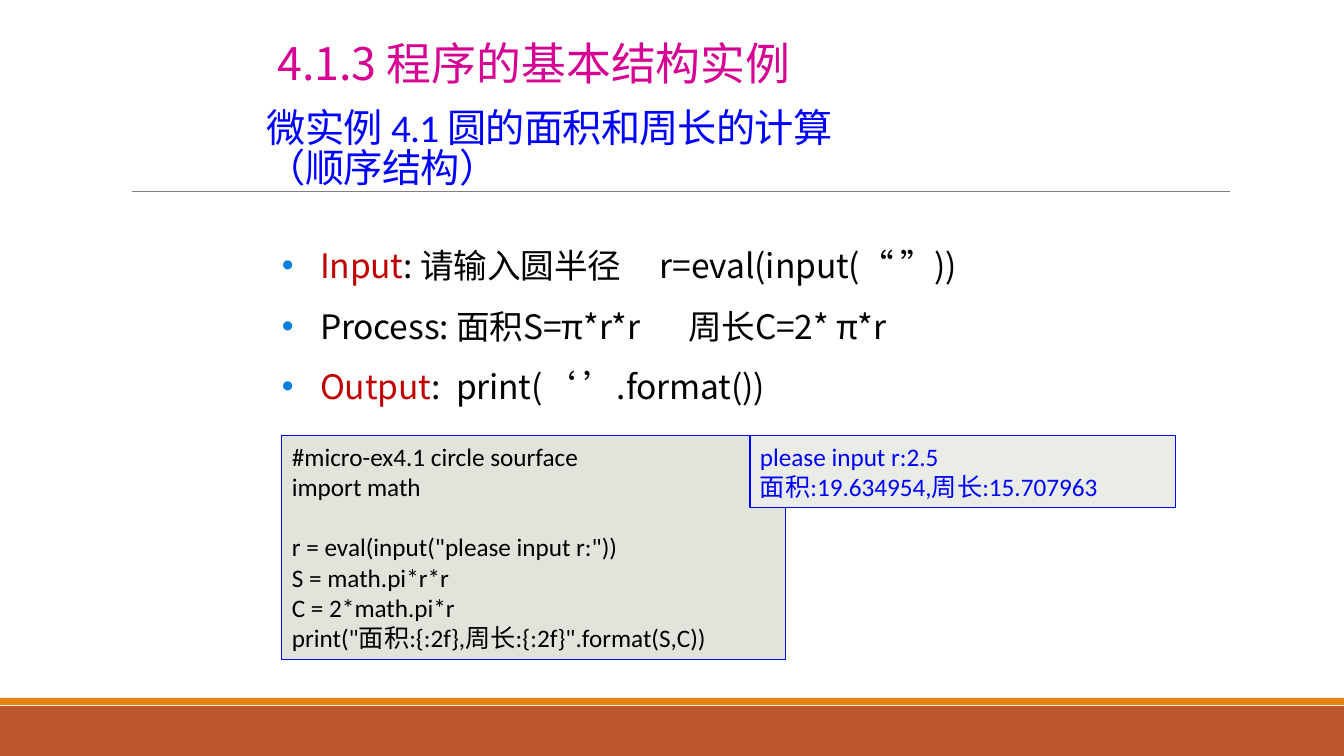
"""Build the slide on the sequential structure example."""
from dataclasses import dataclass

from lxml import etree
from pptx import Presentation
from pptx.dml.color import RGBColor
from pptx.enum.shapes import MSO_CONNECTOR, MSO_SHAPE
from pptx.enum.text import MSO_ANCHOR, MSO_AUTO_SIZE, PP_ALIGN
from pptx.oxml.ns import qn
from pptx.util import Pt

RECT = MSO_SHAPE.RECTANGLE
LINE = MSO_CONNECTOR.STRAIGHT
TOP, MIDDLE = MSO_ANCHOR.TOP, MSO_ANCHOR.MIDDLE
LEFT, CENTER = PP_ALIGN.LEFT, PP_ALIGN.CENTER
FIXED = MSO_AUTO_SIZE.NONE
SCALE = 12192000 / 1344
SANS, HAN = "Calibri", "Noto Sans CJK SC"
BLACK, BLUE, RED, PINK = "000000", "0000FF", "C00000", "D60093"


@dataclass
class Area:
    x: int
    y: int
    w: int
    h: int


@dataclass
class Band:
    area: Area
    fill: str


@dataclass
class Panel:
    area: Area
    fill: str
    ink: str
    text: str


@dataclass
class Bullet:
    label: str
    ink: str
    text: str
    tab: int


BANDS = [
    Band(Area(0, 706, 1344, 50), "BD582C"),
    Band(Area(0, 698, 1344, 7), "E48312"),
]
BULLETS = [
    Bullet("Input", RED, ": 请输入圆半径\tr=eval(input(“ ”))", 378),
    Bullet("Process", BLACK, ": 面积S=π*r*r\t周长C=2* π*r", 406),
    Bullet("Output", RED, ":\tprint(‘ ’.format())", 174),
]
CODE = """#micro-ex4.1 circle sourface
import math

r = eval(input("please input r:"))
S = math.pi*r*r
C = 2*math.pi*r
print("面积:{:2f},周长:{:2f}".format(S,C))"""
RESULT = """please input r:2.5
面积:19.634954,周长:15.707963"""
PANELS = [
    Panel(Area(282, 436, 504, 224), "E0E4DB", BLACK, CODE),
    Panel(Area(750, 436, 426, 72), "EAECE7", BLUE, RESULT),
]


def emu(px: int) -> int:
    """Turn px into EMU."""
    return round(px * SCALE)


def color(code: str) -> RGBColor:
    """Turn a hex string into a colour."""
    return RGBColor.from_string(code)


def spot(area: Area) -> tuple[int, int, int, int]:
    """Give an area in EMU."""
    return emu(area.x), emu(area.y), emu(area.w), emu(area.h)


def place(shape, area: Area) -> None:
    """Move a placeholder to an area."""
    shape.left, shape.top, shape.width, shape.height = spot(area)


def style(run, size: int, face: str, ink: str, space: int = 0) -> None:
    """Format a run, with spacing in hundredths of a point."""
    font = run.font
    font.size, font.name = Pt(size), face
    font.color.rgb = color(ink)
    props = run._r.get_or_add_rPr()
    latin = props.find(qn("a:latin"))
    east = etree.Element(qn("a:ea"), typeface=HAN)
    latin.addnext(east)
    if space:
        props.set("spc", str(space))


def frame(shape, anchor, bare: bool = False):
    """Prepare the text frame of a shape."""
    body = shape.text_frame
    body.word_wrap, body.auto_size = True, FIXED
    body.vertical_anchor = anchor
    if bare:
        body.margin_left = body.margin_right = body.margin_bottom = 0
        body.margin_top = emu(1)
    return body


def block(slide, area: Area, fill: str):
    """Draw a plain filled rectangle."""
    shape = slide.shapes.add_shape(RECT, *spot(area))
    shape.shadow.inherit = False
    shape.fill.solid()
    shape.fill.fore_color.rgb = color(fill)
    shape.line.fill.background()
    return shape


def rule(slide) -> None:
    """Draw the line under the title."""
    line = slide.shapes.add_connector(LINE, emu(132), emu(191), emu(1230), emu(191))
    line.line.color.rgb = color("808080")
    line.line.width = Pt(0.5)
    etree.SubElement(line._element.spPr, qn("a:effectLst"))


def title(slide) -> None:
    """Fill the title."""
    shape = slide.shapes.title
    place(shape, Area(267, 102, 852, 97))
    body = frame(shape, MIDDLE, True)
    body.text = "微实例 4.1 圆的面积和周长的计算\v（顺序结构）"
    para = body.paragraphs[0]
    para.alignment, para.line_spacing = LEFT, 0.85
    for run in para.runs:
        style(run, 28, SANS, BLUE, -50)


def mark(para, tab: int) -> None:
    """Add a bullet and a tab stop to a paragraph."""
    para.line_spacing, para.space_before = 1.5, Pt(0)
    props = para._p.get_or_add_pPr()
    props.set("marL", str(emu(38)))
    props.set("indent", str(-emu(38)))
    tint = etree.SubElement(props, qn("a:buClr"))
    etree.SubElement(tint, qn("a:srgbClr"), val="007EDE")
    etree.SubElement(props, qn("a:buFont"), typeface="Arial")
    etree.SubElement(props, qn("a:buChar"), char="•")
    tabs = etree.SubElement(props, qn("a:tabLst"))
    etree.SubElement(tabs, qn("a:tab"), pos=str(emu(tab)), algn="l")


def steps(slide) -> None:
    """Fill the list of steps."""
    shape = slide.placeholders[1]
    place(shape, Area(282, 224, 970, 184))
    body = frame(shape, TOP, True)
    body.text = "\n".join(item.label for item in BULLETS)
    for para, item in zip(body.paragraphs, BULLETS):
        mark(para, item.tab)
        style(para.runs[0], 24, HAN, item.ink, -10)
        run = para.add_run()
        run.text = item.text
        style(run, 24, HAN, BLACK, -10)


def panel(slide, item: Panel) -> None:
    """Draw a framed panel of code or output."""
    shape = block(slide, item.area, item.fill)
    shape.line.color.rgb = color(BLUE)
    shape.line.width = Pt(0.75)
    body = frame(shape, TOP)
    body.text = item.text
    for para in body.paragraphs:
        para.alignment = LEFT
        para.line_spacing = 1.0
        for run in para.runs:
            style(run, 18, SANS, item.ink)


def heading(slide) -> None:
    """Write the section heading."""
    shape = slide.shapes.add_textbox(*spot(Area(237, 4, 594, 92)))
    body = frame(shape, TOP)
    body.text = "4.1.3 程序的基本结构实例"
    para = body.paragraphs[0]
    para.alignment, para.line_spacing = CENTER, 1.5
    style(para.runs[0], 32, HAN, PINK)


def main() -> None:
    """Build and save the deck."""
    deck = Presentation()
    deck.slide_width, deck.slide_height = emu(1344), emu(756)
    slide = deck.slides.add_slide(deck.slide_layouts[1])
    for band in BANDS:
        block(slide, band.area, band.fill)
    rule(slide)
    title(slide)
    steps(slide)
    for item in PANELS:
        panel(slide, item)
    heading(slide)
    deck.save("out.pptx")


if __name__ == "__main__":
    main()
